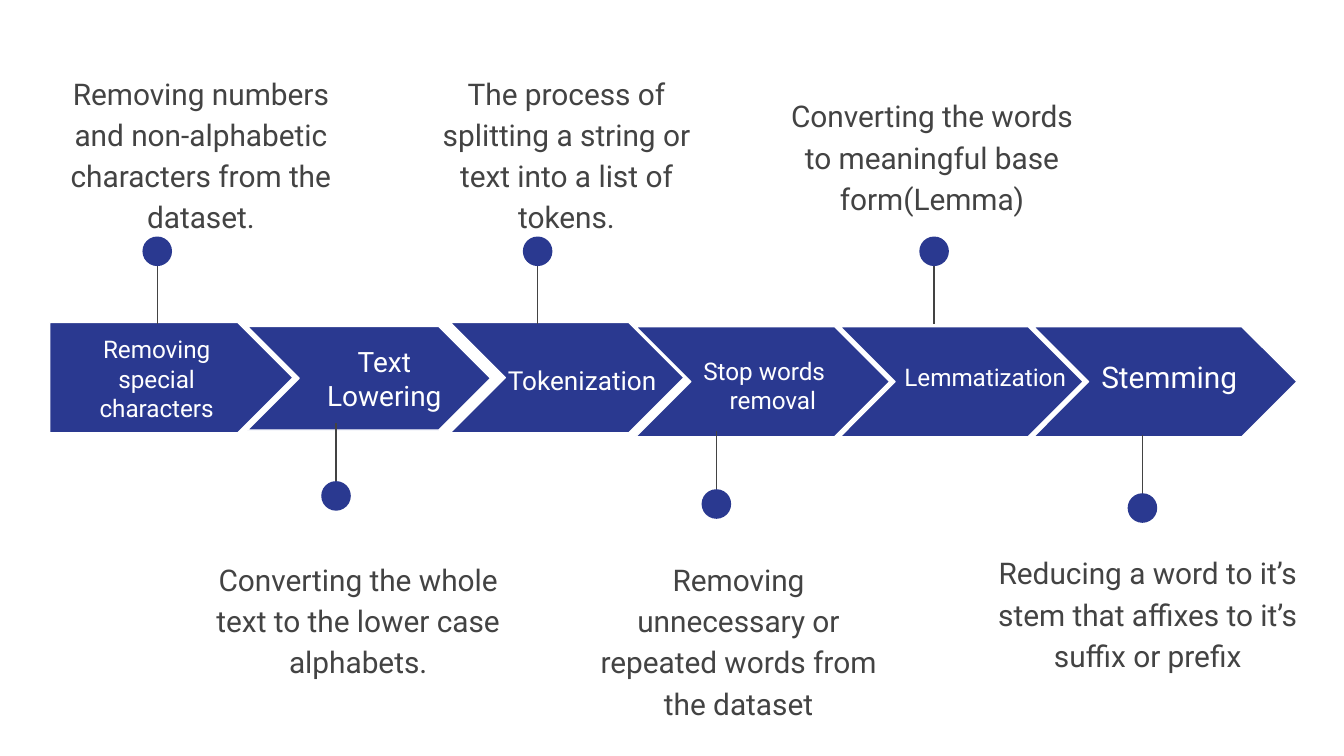
from dataclasses import dataclass

from lxml import etree
from pptx import Presentation
from pptx.dml.color import RGBColor
from pptx.enum.shapes import MSO_CONNECTOR, MSO_SHAPE
from pptx.enum.text import MSO_ANCHOR, PP_ALIGN
from pptx.oxml.ns import qn
from pptx.util import Inches, Pt

LEFT, CENTER = PP_ALIGN.LEFT, PP_ALIGN.CENTER
TOP, MIDDLE = MSO_ANCHOR.TOP, MSO_ANCHOR.MIDDLE
PENTAGON, CHEVRON, OVAL = MSO_SHAPE.PENTAGON, MSO_SHAPE.CHEVRON, MSO_SHAPE.OVAL
STRAIGHT = MSO_CONNECTOR.STRAIGHT

COLORS = {"arrow": "2A3990", "outline": "FFFFFF", "label": "FFFFFF", "body": "434343"}
FONT = "Roboto"
LINE_WIDTH = Pt(0.75)

# Grid of square cells: 100 columns across the slide
CELL = 0.1
COLUMNS, ROWS = 100, 56.25
DOT_SIZE = 2.2
PIN_LENGTH = 5.4
ABOVE, BELOW = -1, 1


@dataclass(frozen=True)
class Box:
    left: float
    top: float
    width: float
    height: float


@dataclass(frozen=True)
class Pin:
    column: float
    row: float
    direction: int


@dataclass(frozen=True)
class Stage:
    label: tuple[str, ...]
    label_size: int
    label_box: Box
    arrow_box: Box
    pin: Pin
    description: str
    description_box: Box
    arrow: MSO_SHAPE = CHEVRON
    align: PP_ALIGN = CENTER
    hanging: float = 0  # extra left margin of the lines after the first


STAGES = [
    Stage(("Removing special characters",), 13, Box(3.7, 25.6, 15.9, 5.1),
          Box(3.7, 24, 18.1, 8.2), Pin(11.7, 24.1, ABOVE),
          "Removing numbers and non-alphabetic characters from the dataset.",
          Box(2.7, 4.2, 24.5, 9.9), arrow=PENTAGON),
    Stage(("Text Lowering",), 15, Box(21.4, 25.6, 14.4, 5.1),
          Box(18.4, 24.3, 18.1, 7.7), Pin(25, 31.5, BELOW),
          "Converting the whole text to the lower case alphabets.",
          Box(14.4, 40.4, 24.5, 9.9)),
    Stage(("Tokenization",), 14, Box(36.8, 26.1, 14.4, 4.4),
          Box(33.5, 24, 17.4, 8.2), Pin(40, 24.1, ABOVE),
          "The process of splitting a string or text into a list of tokens.",
          Box(29.9, 4.2, 24.5, 9.9), align=LEFT),
    Stage(("Stop words", "removal"), 13, Box(48.9, 25.5, 15.9, 6.4),
          Box(47.3, 24.3, 18.9, 8.2), Pin(53.3, 32.1, BELOW),
          "Removing unnecessary or repeated words from the dataset",
          Box(42.7, 40.4, 24.5, 9.9), hanging=1.3),
    Stage(("Lemmatization",), 13, Box(66.1, 25.5, 14.4, 5.1),
          Box(62.5, 24.3, 18.1, 8.2), Pin(69.5, 24.1, ABOVE),
          "Converting the words to meaningful base form(Lemma)",
          Box(57.1, 5.9, 24.5, 9.9)),
    Stage(("Stemming",), 16, Box(79.8, 25.5, 14.4, 5.1),
          Box(76.9, 24.3, 19.6, 8.2), Pin(85, 32.4, BELOW),
          "Reducing a word to it’s stem that affixes to it’s suffix or prefix",
          Box(71.7, 39.9, 27.4, 10.9)),
]

DESCRIPTION_FORMAT = {"alignment": CENTER, "line_spacing": 1.15, "space_after": Pt(16)}


def cells(count: float) -> int:
    return Inches(count * CELL)


def place(box: Box) -> tuple[int, ...]:
    return tuple(cells(value) for value in (box.left, box.top, box.width, box.height))


def color(name: str) -> RGBColor:
    return RGBColor.from_string(COLORS[name])


def add_filled_shape(slide, kind: MSO_SHAPE, box: Box):
    shape = slide.shapes.add_shape(kind, *place(box))
    shape.shadow.inherit = False
    shape.fill.solid()
    shape.fill.fore_color.rgb = color("arrow")
    shape.line.fill.background()
    return shape


def add_arrow(slide, stage: Stage) -> None:
    shape = add_filled_shape(slide, stage.arrow, stage.arrow_box)
    shape.adjustments[0] = 0.5
    shape.line.color.rgb = color("outline")
    shape.line.width = LINE_WIDTH


def add_pin(slide, pin: Pin) -> None:
    center = pin.row + pin.direction * PIN_LENGTH
    column = cells(pin.column)
    stem = slide.shapes.add_connector(STRAIGHT, column, cells(center), column, cells(pin.row))
    stem.line.color.rgb = color("body")
    stem.line.width = LINE_WIDTH
    etree.SubElement(stem._element.spPr, qn("a:effectLst"))
    radius = DOT_SIZE / 2
    add_filled_shape(slide, OVAL, Box(pin.column - radius, center - radius, DOT_SIZE, DOT_SIZE))


def add_text(slide, box: Box, lines: tuple[str, ...], size: int, color_name: str,
             anchor: MSO_ANCHOR, paragraph_format: dict, hanging: float = 0) -> None:
    frame = slide.shapes.add_textbox(*place(box)).text_frame
    frame.word_wrap = True
    frame.vertical_anchor = anchor
    for side in ("left", "top", "right", "bottom"):
        setattr(frame, f"margin_{side}", cells(1))
    for index, line in enumerate(lines):
        paragraph = frame.add_paragraph() if index else frame.paragraphs[0]
        for name, value in paragraph_format.items():
            setattr(paragraph, name, value)
        if index and hanging:
            paragraph._p.get_or_add_pPr().set("marL", str(cells(hanging)))
        run = paragraph.add_run()
        run.text = line
        run.font.color.rgb = color(color_name)
        for name, value in {"name": FONT, "size": Pt(size)}.items():
            setattr(run.font, name, value)


def main() -> None:
    presentation = Presentation()
    presentation.slide_width = cells(COLUMNS)
    presentation.slide_height = cells(ROWS)
    slide = presentation.slides.add_slide(presentation.slide_layouts[6])

    # Process arrows
    for stage in STAGES:
        add_arrow(slide, stage)

    # Pins, labels and descriptions
    for stage in STAGES:
        add_pin(slide, stage.pin)
        add_text(slide, stage.label_box, stage.label, stage.label_size, "label",
                 MIDDLE, {"alignment": stage.align}, stage.hanging)
        add_text(slide, stage.description_box, (stage.description,), 16, "body",
                 TOP, DESCRIPTION_FORMAT)

    presentation.save("out.pptx")


if __name__ == "__main__":
    main()
